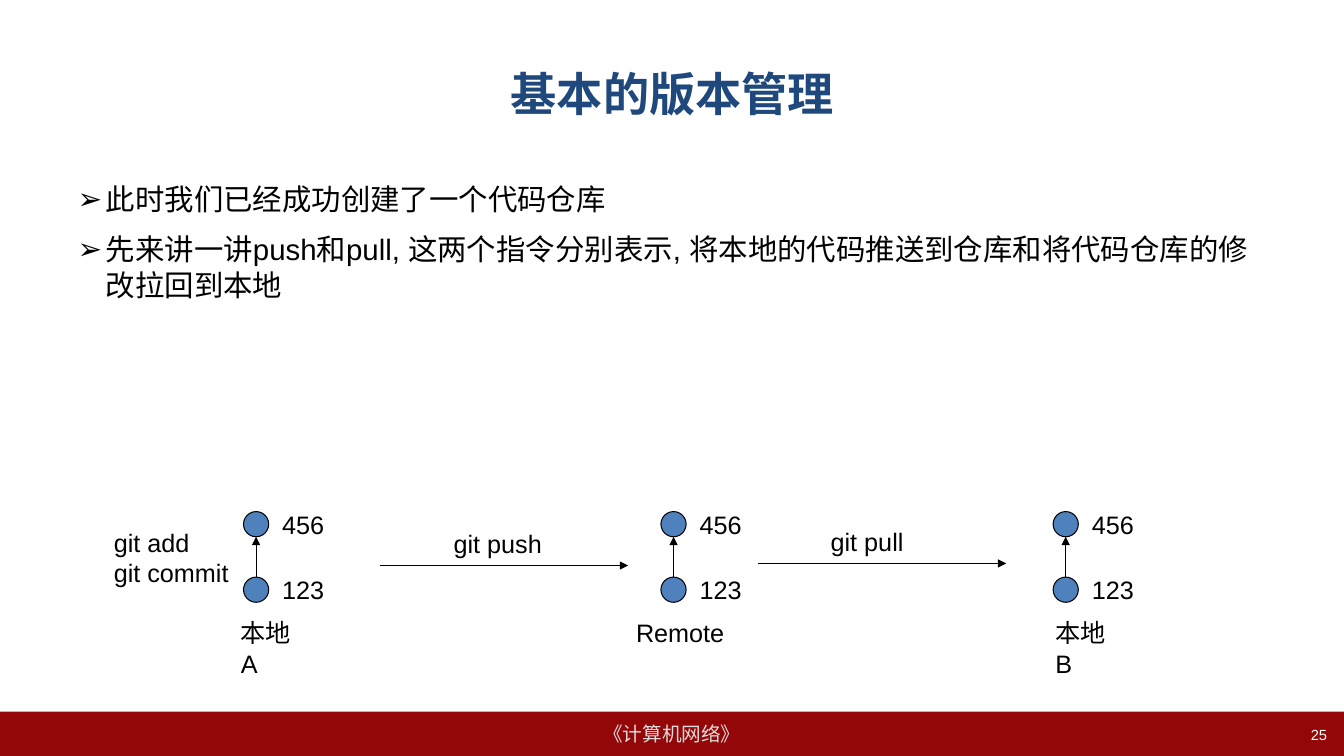
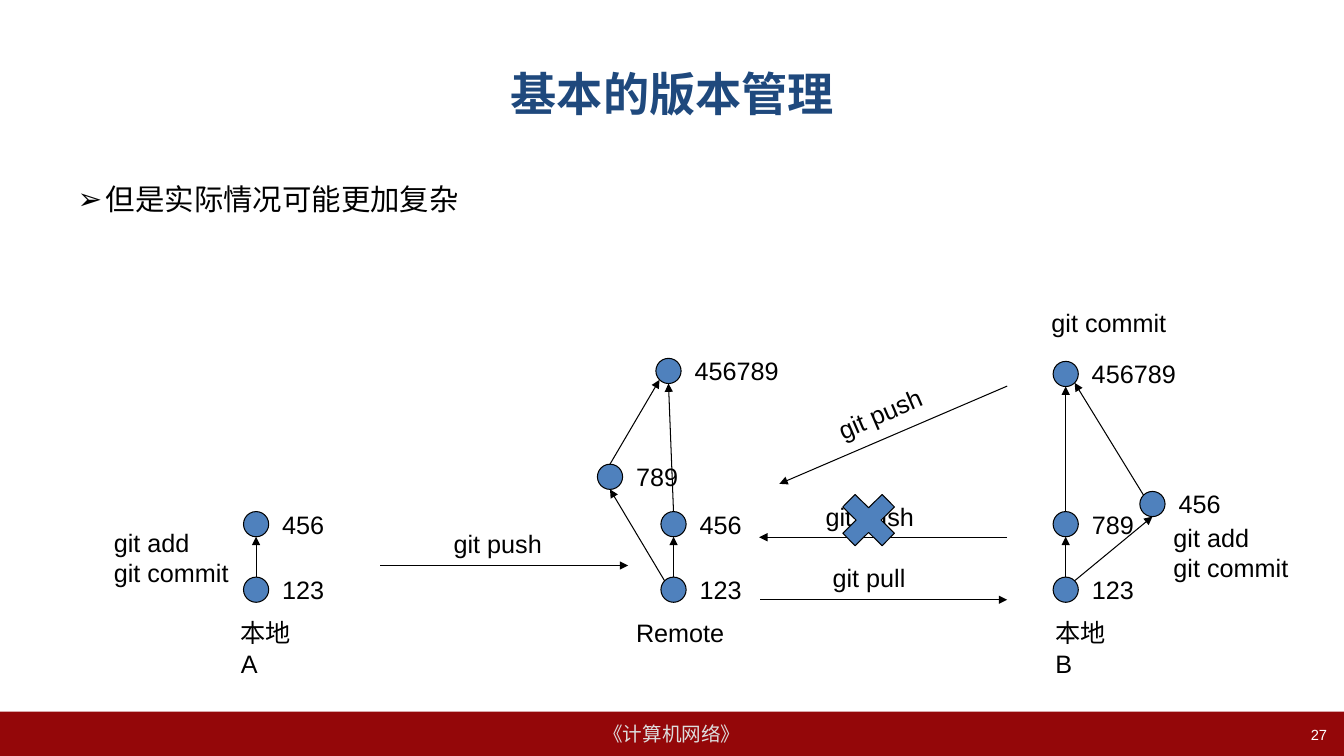
from dataclasses import dataclass

from lxml.etree import SubElement
from pptx import Presentation
from pptx.dml.color import RGBColor
from pptx.enum.shapes import MSO_CONNECTOR as CONNECTOR, MSO_SHAPE as SHAPE
from pptx.enum.text import MSO_ANCHOR as ANCHOR, PP_ALIGN as ALIGN
from pptx.oxml.ns import qn
from pptx.util import Inches, Pt

BLACK, WHITE, BLUE = "000000", "FFFFFF", "4F81BD"
TITLE = {"name": "Montserrat", "size": Pt(33), "bold": True, "color": "1F497D"}
BODY = {"name": "Arial", "size": Pt(21), "color": BLACK}
LABEL = {"name": "Arial", "size": Pt(18), "color": BLACK}
FOOTER = {"name": "Arial", "size": Pt(14), "color": "DDDDDD"}
NUMBER = {"name": "Arial", "size": Pt(10.5), "color": WHITE}

RADIUS = 0.125
DIAGONAL = 0.71
PORTS = {
    "top": (0, -1),
    "bottom": (0, 1),
    "top_left": (-DIAGONAL, -DIAGONAL),
    "top_right": (DIAGONAL, -DIAGONAL),
    "bottom_left": (-DIAGONAL, DIAGONAL),
    "bottom_right": (DIAGONAL, DIAGONAL),
}
FIRST_Y, SECOND_Y = 5.85, 5.2
LOCAL_A_X, REMOTE_X, LOCAL_B_X = 2.54, 6.68, 10.57


def rgb(value):
    return RGBColor.from_string(value)


def write(para, text, style):
    span = para.add_run()
    span.text = text
    for name, value in style.items():
        if name == "color":
            span.font.color.rgb = rgb(value)
        else:
            setattr(span.font, name, value)


def place(shape, left, top, width, height):
    box = {"left": left, "top": top, "width": width, "height": height}
    for name, value in box.items():
        setattr(shape, name, Inches(value))


def add_bullet(para):
    properties = para._p.get_or_add_pPr()
    properties.set("marL", str(Inches(0.28)))
    properties.set("indent", str(Inches(-0.28)))
    SubElement(properties, qn("a:buFont"), typeface="Arial")
    SubElement(properties, qn("a:buChar"), char="➢")


@dataclass
class Commit:
    x: float
    y: float

    def port(self, name):
        """Return the point on the circle's edge in the named direction."""
        across, down = PORTS[name]
        return self.x + across * RADIUS, self.y + down * RADIUS


class Slides:
    def __init__(self):
        self.deck = Presentation()
        self.deck.slide_width = Inches(13.33)
        self.deck.slide_height = Inches(7.5)
        self.page = None

    def start(self, title, points, number):
        self.page = self.deck.slides.add_slide(self.deck.slide_layouts[1])
        if len(self.deck.slides) == 1:
            self.master_band()
        heading, body = self.page.placeholders
        place(heading, 0.67, 0.3, 12, 1.25)
        heading.text_frame.vertical_anchor = ANCHOR.MIDDLE
        para = heading.text_frame.paragraphs[0]
        para.alignment = ALIGN.CENTER
        write(para, title, TITLE)
        place(body, 0.67, 1.75, 12, 4.95)
        for index, point in enumerate(points):
            frame = body.text_frame
            para = frame.add_paragraph() if index else frame.paragraphs[0]
            para.space_before = Pt(10.5 if index else 0)
            add_bullet(para)
            write(para, point, BODY)
        self.text(10.15, 7.15, 3.11, str(number), NUMBER, align=ALIGN.RIGHT)

    def master_band(self):
        """Draw the footer band and move it to the master."""
        band = self.shape(SHAPE.RECTANGLE, 0, 7.06, 13.33, 0.44, "940709")
        band.line.fill.background()
        band.text_frame.vertical_anchor = ANCHOR.MIDDLE
        para = band.text_frame.paragraphs[0]
        para.alignment = ALIGN.CENTER
        write(para, "《计算机网络》", FOOTER)
        self.deck.slide_master.shapes.element.append(band.element)

    def shape(self, kind, left, top, width, height, fill=BLUE):
        shape = self.page.shapes.add_shape(
            kind, Inches(left), Inches(top), Inches(width), Inches(height))
        shape.shadow.inherit = False
        shape.fill.solid()
        shape.fill.fore_color.rgb = rgb(fill)
        shape.line.color.rgb = rgb(BLACK)
        shape.line.width = Pt(0.75)
        return shape

    def text(self, left, top, width, *lines, align=ALIGN.LEFT, wrap=True, turn=0):
        """Add one paragraph a line; a style dict among them replaces LABEL."""
        style = LABEL
        if isinstance(lines[-1], dict):
            *lines, style = lines
        box = self.page.shapes.add_textbox(
            Inches(left), Inches(top), Inches(width), Inches(0.1 + 0.3 * len(lines)))
        box.rotation = turn
        frame = box.text_frame
        frame.word_wrap = wrap
        for index, line in enumerate(lines):
            para = frame.add_paragraph() if index else frame.paragraphs[0]
            para.alignment = align
            write(para, line, style)

    def label(self, left, top, width, *lines, turn=0):
        self.text(left, top, width, *lines, wrap=False, turn=turn)

    def arrow(self, start, end):
        line = self.page.shapes.add_connector(
            CONNECTOR.STRAIGHT, *(Inches(value) for value in (*start, *end)))
        line.line.color.rgb = rgb(BLACK)
        line.line.width = Pt(0.75)
        properties = line.element.spPr
        SubElement(properties.find(qn("a:ln")), qn("a:tailEnd"), type="triangle")
        SubElement(properties, qn("a:effectLst"))

    def commit(self, x, y, name):
        self.shape(SHAPE.OVAL, x - RADIUS, y - RADIUS, 2 * RADIUS, 2 * RADIUS)
        self.label(x + 0.16, y - 0.2, 0.2 + 0.14 * len(name), name)
        return Commit(x, y)

    def link(self, older, older_port, newer, newer_port):
        self.arrow(older.port(older_port), newer.port(newer_port))

    def repository(self, x, second_name, tag, tag_left, tag_width):
        """Draw two linked commits above the repository's name."""
        first = self.commit(x, FIRST_Y, "123")
        second = self.commit(x, SECOND_Y, second_name)
        self.link(first, "top", second, "bottom")
        self.text(tag_left, 6.08, tag_width, tag)
        return first, second

    def repositories(self, local_b_name):
        """Draw A pushing to the remote, and B; return the last two histories."""
        self.repository(LOCAL_A_X, "456", "本地A", 2.29, 0.86)
        self.label(1.03, 5.18, 1.35, "git add", "git commit")
        self.arrow((3.77, 5.61), (6.23, 5.61))
        self.label(4.4, 5.19, 1.09, "git push")
        remote = self.repository(REMOTE_X, "456", "Remote", 6.21, 1.15)
        local_b = self.repository(LOCAL_B_X, local_b_name, "本地B", 10.37, 0.86)
        return remote, local_b


def push_and_pull(slides):
    slides.start("基本的版本管理", [
        "此时我们已经成功创建了一个代码仓库",
        "先来讲一讲push和pull, 这两个指令分别表示, "
        "将本地的代码推送到仓库和将代码仓库的修改拉回到本地",
    ], 25)
    slides.repositories("456")
    slides.arrow((7.52, 5.59), (9.98, 5.59))
    slides.label(8.14, 5.17, 0.93, "git pull")


def diverged_history(slides):
    slides.start("基本的版本管理", ["但是实际情况可能更加复杂"], 27)
    (remote_first, remote_second), (b_first, b_second) = slides.repositories("789")

    slides.arrow((7.54, 5.95), (9.99, 5.95))
    slides.label(8.16, 5.53, 0.93, "git pull")
    slides.arrow((9.99, 5.33), (7.53, 5.33))
    slides.label(8.09, 4.92, 1.09, "git push")
    slides.shape(SHAPE.MATH_MULTIPLY, 8.24, 4.79, 0.75, 0.74)
    slides.arrow((9.99, 3.83), (7.73, 4.8))
    slides.label(8.19, 3.9, 1.09, "git push", turn=336.7)

    b_pulled = slides.commit(11.43, 5, "456")
    b_merged = slides.commit(LOCAL_B_X, 3.71, "456789")
    slides.link(b_first, "top_right", b_pulled, "bottom")
    slides.link(b_second, "top", b_merged, "bottom")
    slides.link(b_pulled, "top_left", b_merged, "bottom_right")
    slides.label(11.54, 5.13, 1.35, "git add", "git commit")
    slides.label(10.33, 3, 1.35, "git commit")

    remote_branch = slides.commit(6.05, 4.73, "789")
    remote_merged = slides.commit(6.63, 3.68, "456789")
    slides.link(remote_first, "top_left", remote_branch, "bottom")
    slides.link(remote_branch, "top", remote_merged, "bottom_left")
    slides.link(remote_second, "top", remote_merged, "bottom")


def main():
    slides = Slides()
    push_and_pull(slides)
    diverged_history(slides)
    slides.deck.save("out.pptx")


if __name__ == "__main__":
    main()
